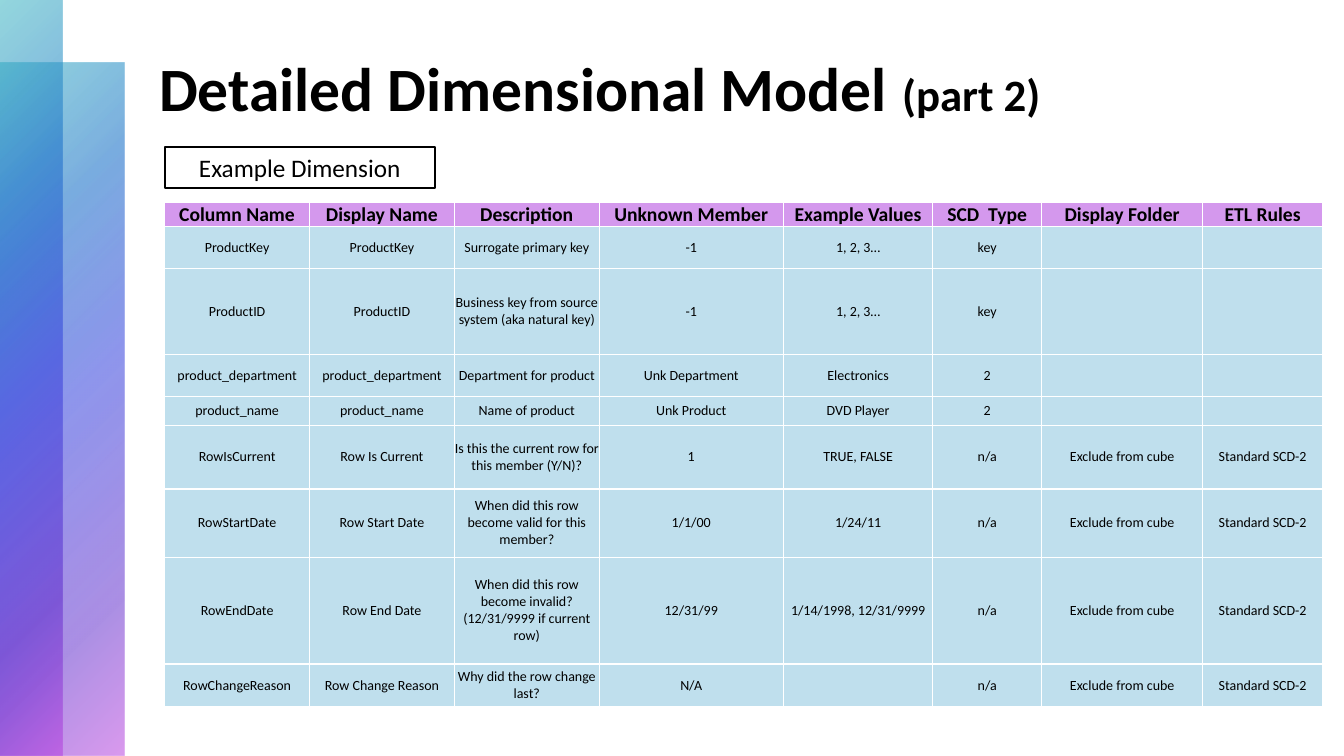
"""Build the slide on the detailed dimensional model, part 2."""
from lxml.etree import SubElement
from pptx import Presentation
from pptx.dml.color import RGBColor
from pptx.enum.shapes import MSO_SHAPE
from pptx.enum.text import MSO_ANCHOR, MSO_AUTO_SIZE, PP_ALIGN
from pptx.oxml.ns import qn
from pptx.util import Cm, Pt

COLORS = {
    "ink": "000000", "rule": "FFFFFF", "head": "BE64E4", "body": "8BC5E0",
    "teal": "2CB1BE", "blue": "2176CB", "indigo": "3341DD",
    "violet": "5A21CB", "purple": "B333DD",
}
FADE = [(0, "teal", 50), (25, "blue", 60), (50, "indigo", 55),
        (81, "violet", 50), (99, "purple", 50)]
BANDS = [(1.59, 3.15, 17.46), (0, 1.58, 19.05)]
WIDTHS = [3.65, 3.65, 3.65, 4.64, 3.77, 2.74, 4.06, 3.02]
HEIGHTS = [0.58, 1.07, 2.15, 1.07, 0.72, 1.61, 1.72, 2.69, 1.07]
CUBE = ["n/a", "Exclude from cube", "Standard SCD-2"]
ROWS = [
    ["Column Name", "Display Name", "Description", "Unknown Member",
     "Example Values", "SCD  Type", "Display Folder", "ETL Rules"],
    ["ProductKey", "ProductKey", "Surrogate primary key", "-1", "1, 2, 3…", "key", "", ""],
    ["ProductID", "ProductID", "Business key from source system (aka natural key)",
     "-1", "1, 2, 3…", "key", "", ""],
    ["product_department", "product_department", "Department for product",
     "Unk Department", "Electronics", "2", "", ""],
    ["product_name", "product_name", "Name of product", "Unk Product", "DVD Player", "2", "", ""],
    ["RowIsCurrent", "Row Is Current", "Is this the current row for this member (Y/N)?",
     "1", "TRUE, FALSE", *CUBE],
    ["RowStartDate", "Row Start Date", "When did this row become valid for this member?",
     "1/1/00", "1/24/11", *CUBE],
    ["RowEndDate", "Row End Date",
     "When did this row become invalid? (12/31/9999 if current row)",
     "12/31/99", "1/14/1998, 12/31/9999", *CUBE],
    ["RowChangeReason", "Row Change Reason", "Why did the row change last?", "N/A", "", *CUBE],
]


def tint(parent, name, alpha=100):
    color = SubElement(parent, qn("a:srgbClr"), val=COLORS[name])
    SubElement(color, qn("a:alpha"), val=str(alpha * 1000))


def style(font, size, bold=False):
    font.name = "Calibri"
    font.size = Pt(size)
    font.bold = bold
    font.color.rgb = RGBColor.from_string(COLORS["ink"])


deck = Presentation()
deck.slide_width, deck.slide_height = Cm(33.87), Cm(19.05)
slide = deck.slides.add_slide(deck.slide_layouts[6])
shapes = slide.shapes

for top, width, height in BANDS:
    band = shapes.add_shape(MSO_SHAPE.RECTANGLE, 0, Cm(top), Cm(width), Cm(height))
    band.shadow.inherit = False
    band.line.fill.background()
    band.fill.gradient()
    grad = band.fill._xPr.find(qn("a:gradFill"))
    for child in list(grad):
        grad.remove(child)
    stops = SubElement(grad, qn("a:gsLst"))
    for place, name, alpha in FADE:
        tint(SubElement(stops, qn("a:gs"), pos=str(place * 1000)), name, alpha)
    round_ = SubElement(grad, qn("a:path"), path="circle")
    SubElement(round_, qn("a:fillToRect"), r="100000", b="100000")

title = shapes.add_textbox(Cm(3.76), Cm(1.3), Cm(29.6), Cm(2)).text_frame
title.word_wrap = True
title.vertical_anchor = MSO_ANCHOR.MIDDLE
line = title.paragraphs[0]
line.line_spacing = 0.9
for text, size in [("Detailed Dimensional Model ", 44), ("(part 2)", 32)]:
    run = line.add_run()
    run.text = text
    style(run.font, size, True)

frame = shapes.add_table(len(ROWS), len(WIDTHS), Cm(4.15), Cm(5.11),
                         Cm(sum(WIDTHS)), Cm(sum(HEIGHTS)))
table = frame.table
for col, width in zip(table.columns, WIDTHS):
    col.width = Cm(width)
for row, height, texts in zip(table.rows, HEIGHTS, ROWS):
    row.height = Cm(height)
    head = texts is ROWS[0]
    for cell, text in zip(row.cells, texts):
        cell.text = text
        cell.vertical_anchor = MSO_ANCHOR.MIDDLE
        cell.margin_left = cell.margin_right = cell.margin_top = cell.margin_bottom = 0
        line = cell.text_frame.paragraphs[0]
        line.alignment = PP_ALIGN.CENTER
        style(line.font, 14 if head else 10, head)
        props = cell._tc.get_or_add_tcPr()
        for side in ("lnL", "lnR", "lnT", "lnB"):
            edge = SubElement(props, qn(f"a:{side}"), w=str(Pt(1)))
            tint(SubElement(edge, qn("a:solidFill")), "rule")
        fill = SubElement(props, qn("a:solidFill"))
        tint(fill, "head" if head else "body", 66 if head else 55)

label = shapes.add_shape(MSO_SHAPE.RECTANGLE, Cm(4.15), Cm(3.71), Cm(6.81), Cm(1.02))
label.shadow.inherit = False
label.fill.background()
label.line.color.rgb = RGBColor.from_string(COLORS["ink"])
label.line.width = Pt(1.5)
label.text_frame.auto_size = MSO_AUTO_SIZE.SHAPE_TO_FIT_TEXT
label.text_frame.text = "Example Dimension"
line = label.text_frame.paragraphs[0]
line.alignment = PP_ALIGN.CENTER
style(line.font, 18)

deck.save("out.pptx")
